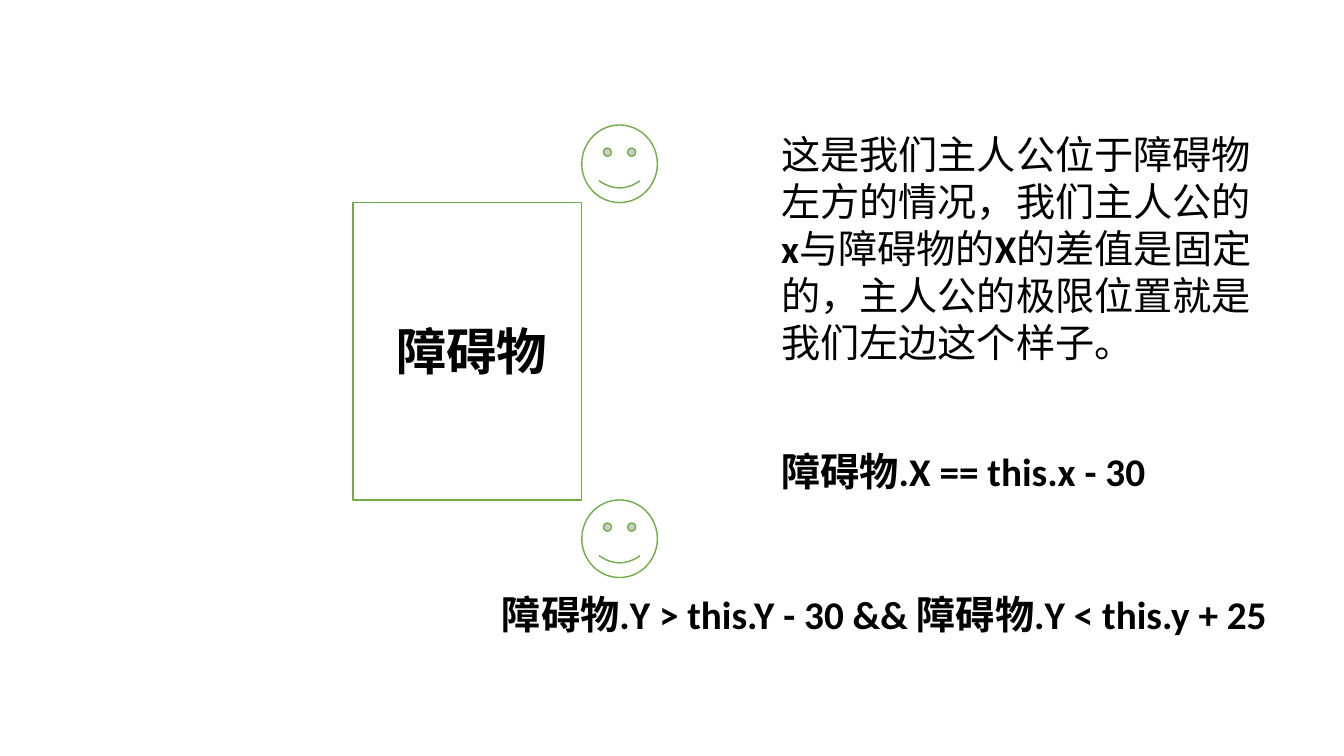
from pptx import Presentation
from pptx.dml.color import RGBColor
from pptx.enum.shapes import MSO_SHAPE
from pptx.enum.text import MSO_AUTO_SIZE
from pptx.util import Inches, Pt

RECTANGLE = MSO_SHAPE.RECTANGLE
SMILEY = MSO_SHAPE.SMILEY_FACE
FIT_SHAPE = MSO_AUTO_SIZE.SHAPE_TO_FIT_TEXT

WHITE = RGBColor(0xFF, 0xFF, 0xFF)
BLACK = RGBColor(0x00, 0x00, 0x00)
GREEN = RGBColor(0x70, 0xAD, 0x47)

COLUMN = ROW = Inches(0.1)


def add_run(p, text, size=28, bold=True, color=BLACK, font="Calibri"):
    r = p.add_run()
    r.text = text
    r.font.name = font
    r.font.size = Pt(size)
    r.font.bold = bold
    r.font.color.rgb = color


class Sketch:
    fill = WHITE
    line = GREEN
    line_width = Pt(1)

    def __init__(self, slide):
        self.slide = slide

    def place(self, col, row, cols, rows):
        return [round(n) for n in (col * COLUMN, row * ROW, cols * COLUMN, rows * ROW)]

    def shape(self, kind, *cells):
        sp = self.slide.shapes.add_shape(kind, *self.place(*cells))
        sp.shadow.inherit = False
        sp.fill.solid()
        sp.fill.fore_color.rgb = self.fill
        sp.line.color.rgb = self.line
        sp.line.width = self.line_width

    def text(self, cells, *parts, size=28):
        sp = self.slide.shapes.add_textbox(*self.place(*cells))
        tf = sp.text_frame
        tf.word_wrap = True
        tf.auto_size = FIT_SHAPE
        for text, bold in parts:
            add_run(tf.paragraphs[0], text, size=size, bold=bold)


def main():
    prs = Presentation()
    prs.slide_width, prs.slide_height = Inches(13.33), Inches(7.5)
    sketch = Sketch(prs.slides.add_slide(prs.slide_layouts[6]))

    left, top, width, height = 35, 20.1, 22.7, 29.5
    face_width, face_height = 7.5, 7.7
    right, bottom = left + width, top + height

    sketch.shape(RECTANGLE, left, top, width, height)
    sketch.text((38.3, 31.3, 19.4, 7.1), ("障碍物", True), size=36)
    for face_top in (top - face_height, bottom):
        sketch.shape(SMILEY, right, face_top, face_width, face_height)

    note_left = 76.5
    sketch.text(
        (note_left, top - face_height, 49.4, 24.6),
        ("这是我们主人公位于障碍物左方的情况，我们主人公的", False),
        ("x", True),
        ("与障碍物的", False),
        ("X", True),
        ("的差值是固定的，主人公的极限位置就是我们左边这个样子。", False),
    )
    sketch.text((note_left, 43.9, 41.9, 5.7), ("障碍物.X == this.x - 30", True))
    sketch.text(
        (48.8, 58.1, 81.5, 5.7),
        ("障碍物.Y > this.Y - 30 && 障碍物.Y < this.y + 25", True),
    )
    prs.save("out.pptx")


if __name__ == "__main__":
    main()
